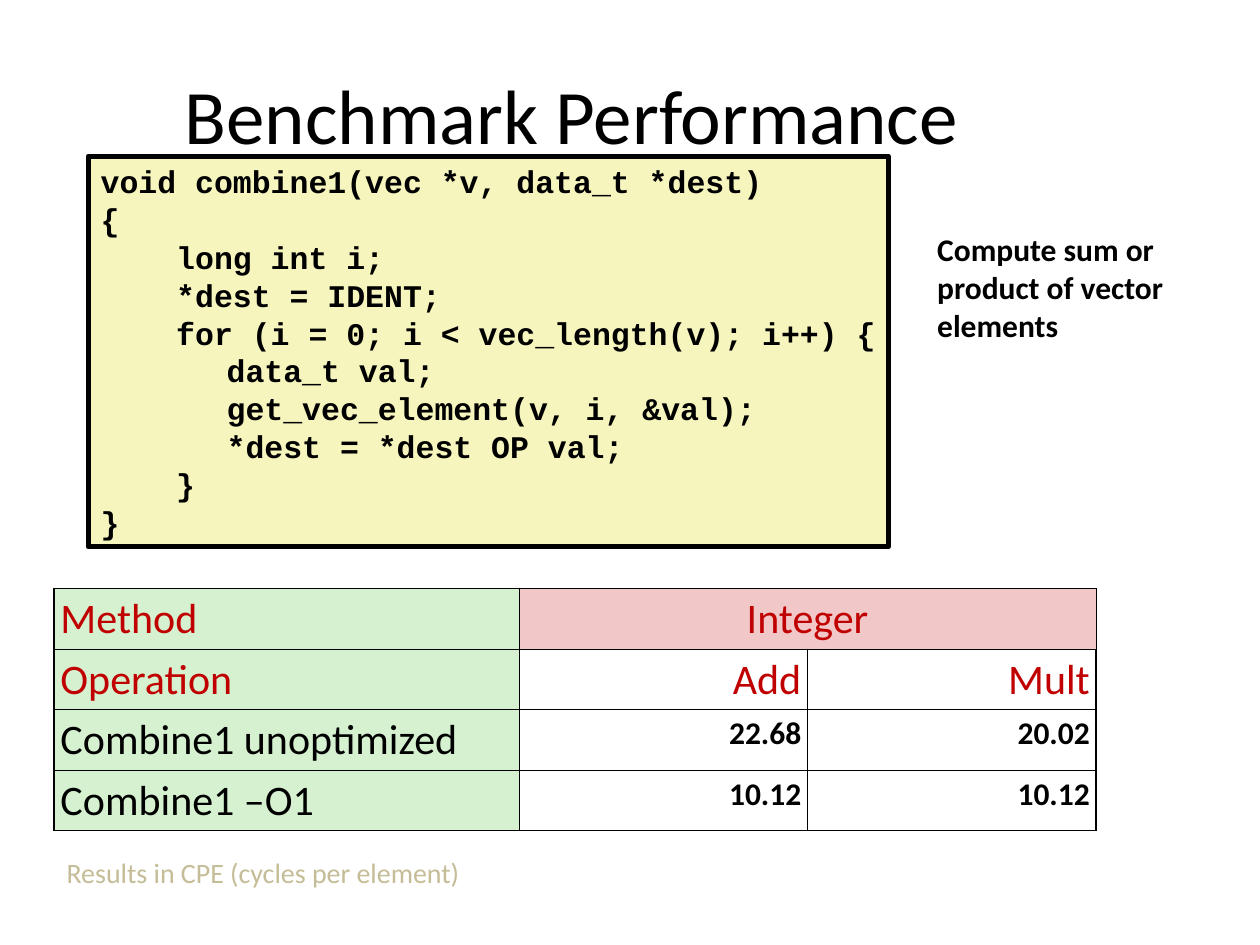
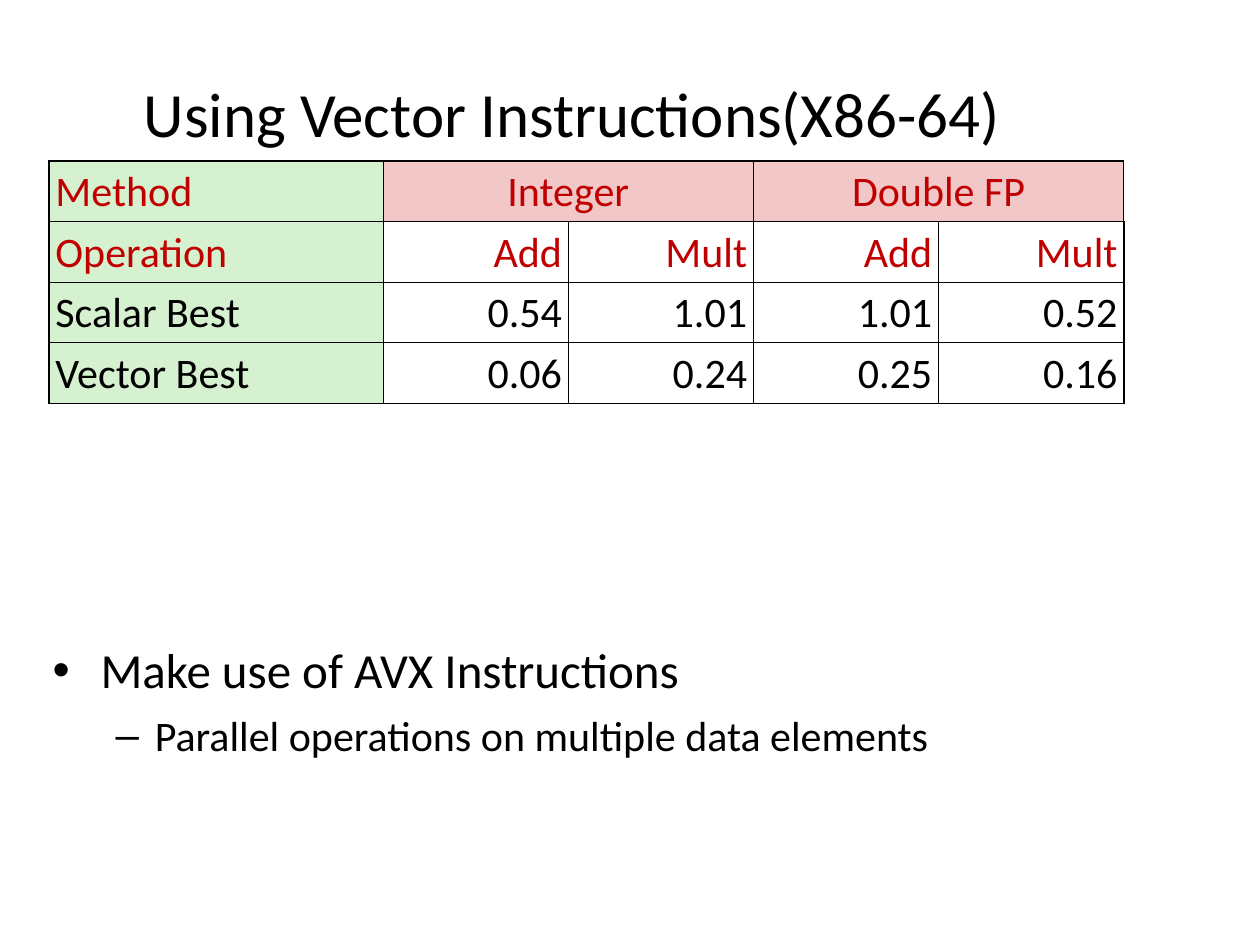
from pptx import Presentation
from pptx.dml.color import RGBColor as Rgb
from pptx.enum.shapes import MSO_SHAPE as Kind
from pptx.enum.text import MSO_ANCHOR as Anchor, PP_ALIGN as Align
from pptx.oxml.ns import qn
from pptx.util import Inches, Pt
from lxml.etree import SubElement as Sub

COLORS = {"ink": "000000", "red": "C00000", "green": "D5F1CF",
          "pink": "F1C7C7", "cream": "F6F5BD", "tan": "C4BD97"}
SANS, MONO = "Calibri", "Courier New"
THICK, THIN = 1.08, 0.45
ROW = 0.48

CODE = """void combine1(vec *v, data_t *dest)
{
    long int i;
    *dest = IDENT;
    for (i = 0; i < vec_length(v); i++) {
\tdata_t val;
\tget_vec_element(v, i, &val);
\t*dest = *dest OP val;
    }
}"""


def color(name):
    """Return the named colour."""
    return Rgb.from_string(COLORS[name])


def write(para, text, size, tint="ink", bold=False, face=SANS, align=Align.LEFT):
    """Add one formatted run to a paragraph."""
    para.alignment = align
    run = para.add_run()
    run.text = text
    font = run.font
    font.name, font.size, font.bold = face, Pt(size), bold
    font.color.rgb = color(tint)


def add_title(slide, text, size, top):
    """Place and fill the title."""
    title = slide.shapes.title
    title.left, title.top = Inches(0.39), Inches(top)
    title.width, title.height = Inches(8.3), Inches(0.83)
    frame = title.text_frame
    frame.vertical_anchor = Anchor.MIDDLE
    write(frame.paragraphs[0], text, size, align=Align.CENTER)


def add_frame(slide, *area):
    """Add a wrapping text box and return its frame."""
    frame = slide.shapes.add_textbox(*map(Inches, area)).text_frame
    frame.word_wrap = True
    return frame


def add_code(slide, code, *area):
    """Add a framed code listing with a tab stop at one inch."""
    box = slide.shapes.add_shape(Kind.RECTANGLE, *map(Inches, area))
    box.shadow.inherit = False
    box.fill.solid()
    box.fill.fore_color.rgb = color("cream")
    box.line.color.rgb = color("ink")
    box.line.width = Pt(3)
    frame = box.text_frame
    frame.word_wrap = True
    frame.vertical_anchor = Anchor.TOP
    for num, line in enumerate(code.split("\n")):
        para = frame.add_paragraph() if num else frame.paragraphs[0]
        tabs = Sub(para._p.get_or_add_pPr(), qn("a:tabLst"))
        Sub(tabs, qn("a:tab"), pos=str(Inches(1)), algn="l")
        write(para, line, 18, bold=True, face=MONO)


def add_bullets(slide, items, *area):
    """Add bullets given as text, size, mark, indent, hang and gap."""
    frame = add_frame(slide, *area)
    for num, (text, size, mark, indent, hang, gap) in enumerate(items):
        para = frame.add_paragraph() if num else frame.paragraphs[0]
        props = para._p.get_or_add_pPr()
        props.set("marL", str(Inches(indent)))
        props.set("indent", str(-Inches(hang)))
        if num:
            para.space_before = Pt(gap)
        Sub(props, qn("a:buFont"), typeface="Arial")
        Sub(props, qn("a:buChar"), char=mark)
        write(para, text, size)


def set_edges(cell, widths):
    """Draw the cell borders in the given point widths."""
    props = cell._tc.get_or_add_tcPr()
    for side, width in widths.items():
        line = Sub(props, qn(f"a:ln{side}"), w=str(Pt(width)))
        fill = Sub(line, qn("a:solidFill"))
        Sub(fill, qn("a:srgbClr"), val=COLORS["ink"])


def fill_cell(cell, text, tint, back, align, size, bold):
    """Fill and format one table cell."""
    cell.margin_left = cell.margin_right = Inches(0.05)
    cell.margin_top = cell.margin_bottom = Inches(0.05)
    if back:
        cell.fill.solid()
        cell.fill.fore_color.rgb = color(back)
    else:
        cell.fill.background()
    if text:
        para = cell.text_frame.paragraphs[0]
        para.line_spacing = 0.95
        write(para, text, size, tint, bold, align=align)


def add_results(slide, left, top, first, rest, groups, data, foot, size=24, bold=False):
    """Add a table of timings with a pair of columns for each group."""
    heads = [text for group in groups for text in (group, "")]
    rows = [["Method", *heads], ["Operation", *["Add", "Mult"] * len(groups)], *data]
    wide, high = len(rows[0]), len(rows)
    area = (left, top, first + rest * (wide - 1), ROW * high)
    grid = slide.shapes.add_table(high, wide, *map(Inches, area)).table
    grid.first_row = grid.horz_banding = False
    for c, col in enumerate(grid.columns):
        col.width = Inches(rest if c else first)
    for r, row in enumerate(rows):
        for c, text in enumerate(row):
            cell = grid.cell(r, c)
            set_edges(cell, {"L": THIN if c else THICK,
                             "R": THICK if c == wide - 1 else THIN,
                             "T": THIN if r else THICK,
                             "B": foot if r == high - 1 else THIN})
            back = "green" if c == 0 else None if r else "pink"
            align = Align.LEFT if c == 0 else Align.RIGHT if r else Align.CENTER
            value = c > 0 and r > 1
            fill_cell(cell, text, "ink" if r > 1 else "red", back, align,
                      size if value else 24, bold and value)
    for c in range(1, wide, 2):
        grid.cell(0, c).merge(grid.cell(0, c + 1))


def main():
    """Build and save both slides."""
    deck = Presentation()
    deck.slide_width, deck.slide_height = Inches(10), Inches(7.5)
    plain = deck.slide_layouts[5]

    slide = deck.slides.add_slide(plain)
    add_title(slide, "Benchmark Performance", 44, 0.49)
    add_code(slide, CODE, 0.7, 1.24, 6.35, 3.1)
    note = add_frame(slide, 7.34, 1.78, 2.67, 1)
    write(note.paragraphs[0], "Compute sum or product of vector elements", 18, bold=True)
    add_results(slide, 0.43, 4.67, 3.69, 2.29, ["Integer"],
                [["Combine1 unoptimized", "22.68", "20.02"],
                 ["Combine1 –O1", "10.12", "10.12"]], THICK, 18, True)
    unit = add_frame(slide, 0.43, 6.74, 5.92, 0.37)
    write(unit.paragraphs[0], "Results in CPE (cycles per element)", 16, "tan")

    slide = deck.slides.add_slide(plain)
    add_title(slide, "Using Vector Instructions(X86-64)", 36, 0.48)
    add_bullets(slide, [
        ("Make use of AVX Instructions", 28, "•", 0.38, 0.38, 7),
        ("Parallel operations on multiple data elements", 24, "–", 0.81, 0.31, 6),
    ], 0.32, 5.03, 9.09, 2.05)
    add_results(slide, 0.39, 1.28, 2.65, 1.47, ["Integer", "Double FP"],
                [["Scalar Best", "0.54", "1.01", "1.01", "0.52"],
                 ["Vector Best", "0.06", "0.24", "0.25", "0.16"]], THIN)

    deck.save("out.pptx")


if __name__ == "__main__":
    main()
